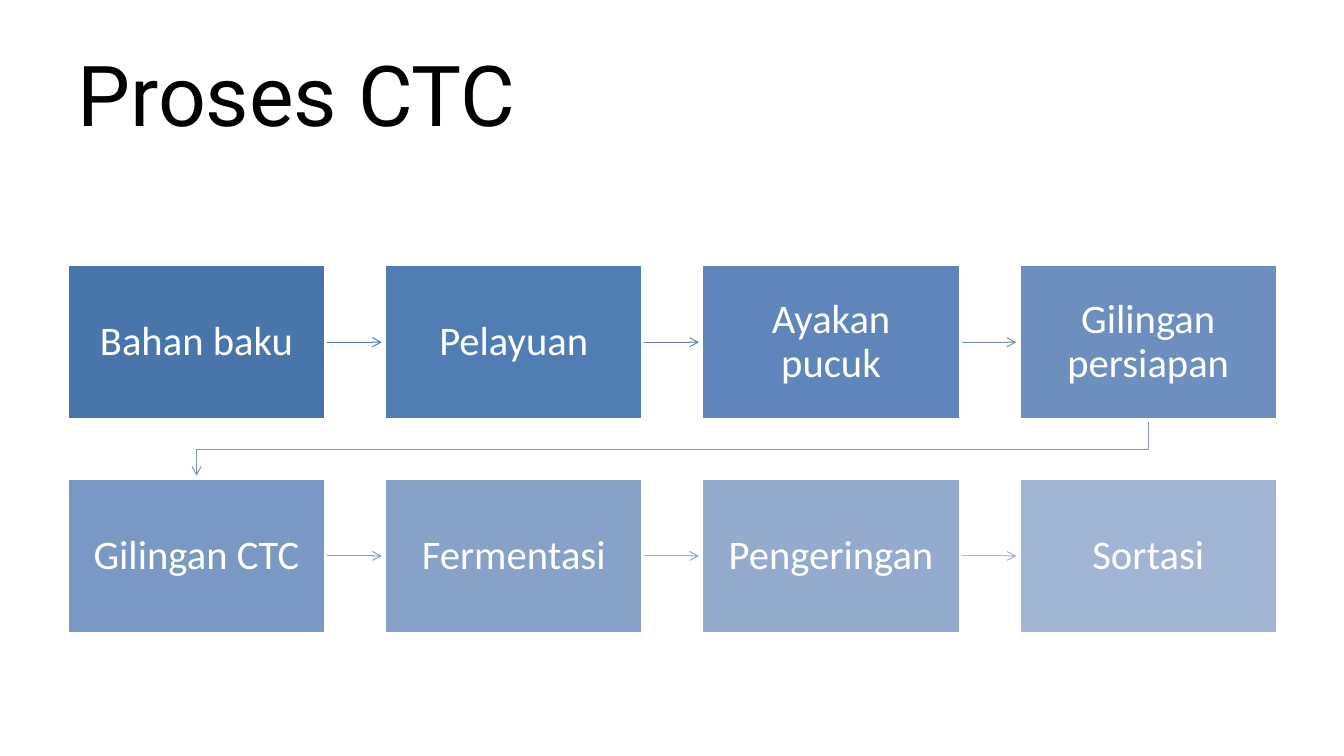
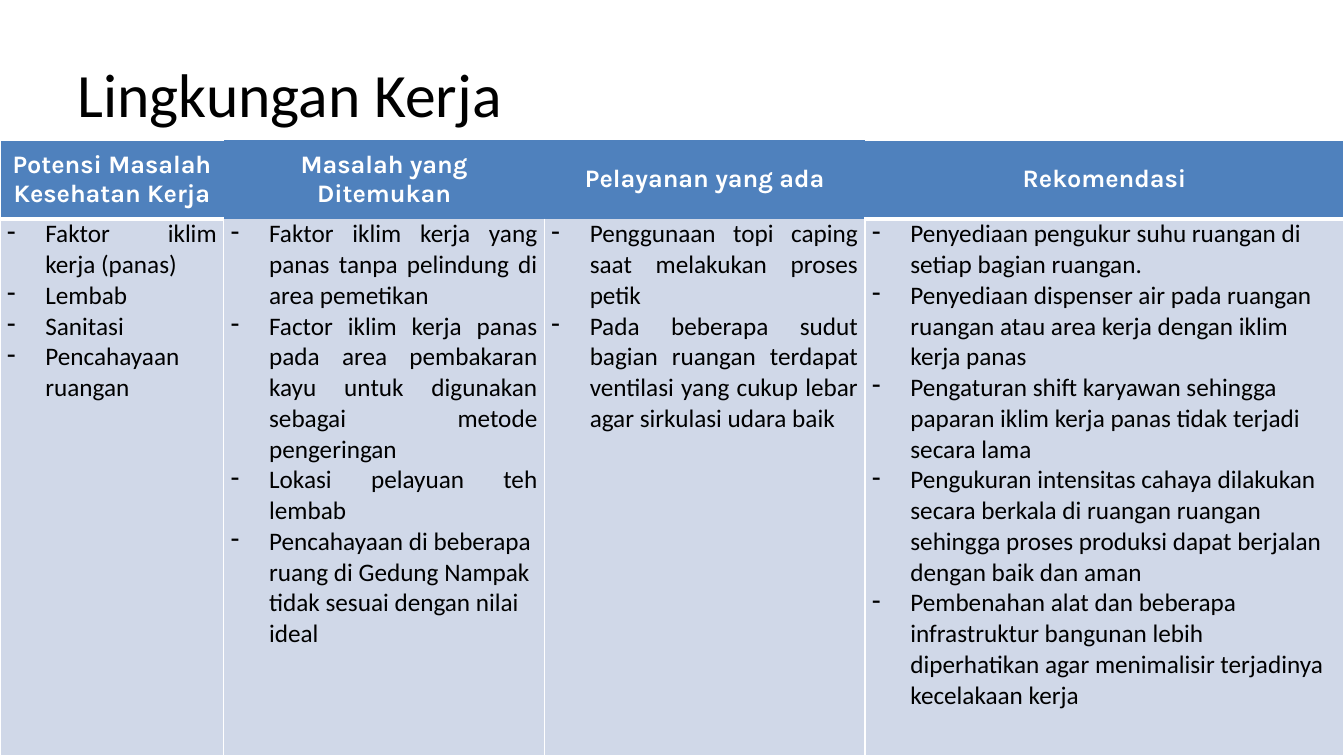
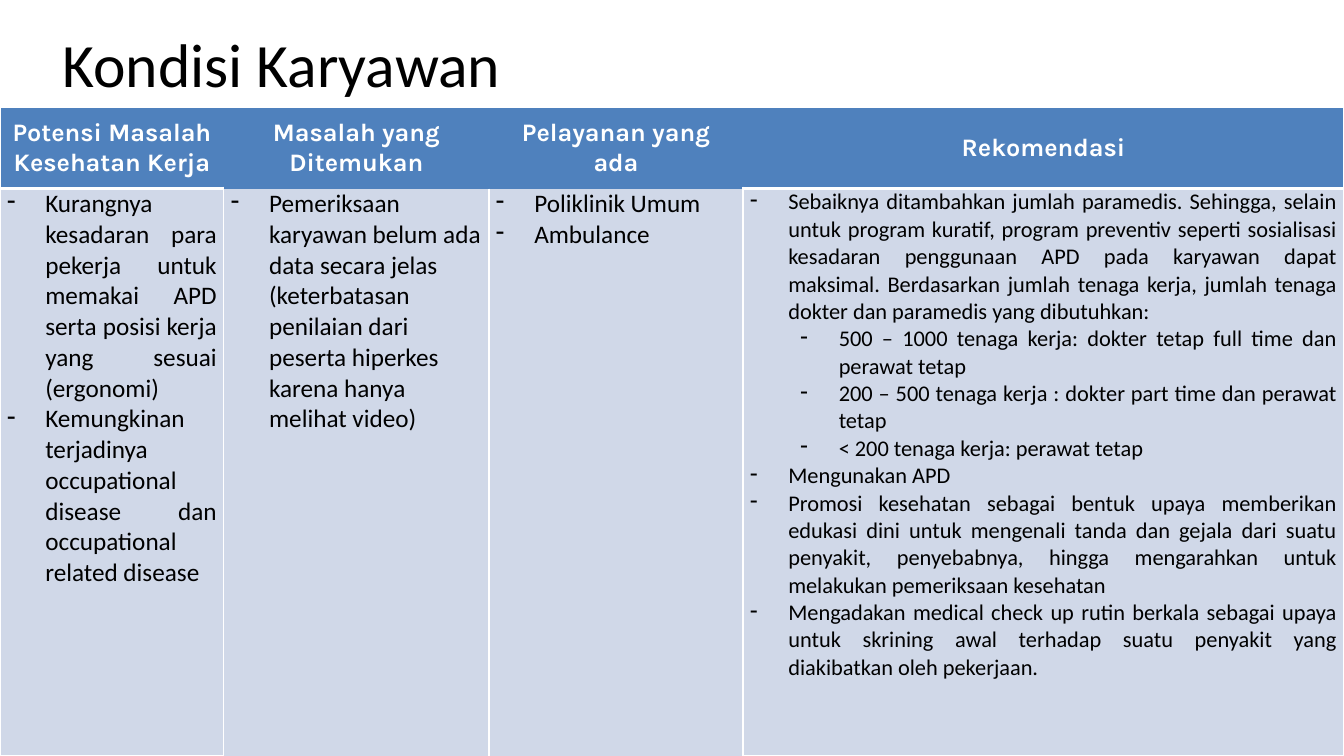
from dataclasses import dataclass
from functools import partial

from lxml import etree
from pptx import Presentation
from pptx.dml.color import RGBColor
from pptx.enum import shapes, text
from pptx.oxml.ns import qn
from pptx.util import Inches, Pt

ALIGN = text.PP_ALIGN
MIDDLE = text.MSO_ANCHOR.MIDDLE
PLAIN_TABLE = "{2D5ABB26-0587-4C30-8999-92F81FD0307C}"


def rgb(hex_code):
    return RGBColor.from_string(hex_code)


@dataclass
class Point:
    """One dashed item of a table cell."""
    text: str
    level: int = 0
    align: ALIGN = ALIGN.JUSTIFY


left = partial(Point, align=ALIGN.LEFT)
sub = partial(Point, level=1)


class Deck:
    BLACK, WHITE = "000000", "FFFFFF"
    HEADER, BODY = "4F81BD", "D0D8E8"
    FONT, HEADER_FONT, TITLE_FONT = "Calibri", "Karla", "Roboto"

    def __init__(self):
        self.file = Presentation()
        self.file.slide_width, self.file.slide_height = Inches(13.33), Inches(7.5)

    def new_slide(self):
        self.slide = self.file.slides.add_slide(self.file.slide_layouts[6])

    def style(self, paragraph, size, color, font=FONT, bold=False, align=ALIGN.LEFT):
        paragraph.alignment = align
        paragraph.font.size, paragraph.font.name = Pt(size), font
        paragraph.font.bold = bold
        paragraph.font.color.rgb = rgb(color)

    def title(self, words, x=0.67, y=0.3, size=44, font=FONT):
        frame = self.slide.shapes.add_textbox(
            Inches(x), Inches(y), Inches(12), Inches(1.25)).text_frame
        frame.word_wrap, frame.vertical_anchor = True, MIDDLE
        frame.text = words
        self.style(frame.paragraphs[0], size, self.BLACK, font)

    def step(self, words, x, y, width, height, fill):
        box = self.slide.shapes.add_shape(
            shapes.MSO_SHAPE.RECTANGLE, Inches(x), Inches(y), Inches(width), Inches(height))
        box.shadow.inherit = False
        box.fill.solid()
        box.fill.fore_color.rgb = rgb(fill)
        box.line.color.rgb, box.line.width = rgb(self.WHITE), Pt(2)
        frame = box.text_frame
        frame.word_wrap, frame.vertical_anchor = True, MIDDLE
        frame.margin_left = frame.margin_right = Inches(0.23)
        frame.margin_top = frame.margin_bottom = Inches(0.23)
        frame.text = words
        frame.paragraphs[0].line_spacing = 0.9
        self.style(frame.paragraphs[0], 29, self.WHITE, align=ALIGN.CENTER)
        return box

    def arrow_line(self, line, color):
        line.color.rgb, line.width = rgb(color), Pt(0.75)
        etree.SubElement(line._get_or_add_ln(), qn("a:tailEnd"), type="arrow")

    def arrow(self, box, end_x, color):
        """Point right from the box, starting behind its outline."""
        y = box.top + box.height // 2
        link = self.slide.shapes.add_connector(
            shapes.MSO_CONNECTOR.STRAIGHT, box.left + box.width, y, Inches(end_x), y)
        link.begin_connect(box, 3)
        self.arrow_line(link.line, color)
        etree.SubElement(link._element.spPr, qn("a:effectLst"))
        box._element.addprevious(link._element)

    def bent_arrow(self, points, color):
        start, *rest = [(Inches(x), Inches(y)) for x, y in points]
        builder = self.slide.shapes.build_freeform(*start)
        builder.add_line_segments(rest, close=False)
        path = builder.convert_to_shape()
        path.shadow.inherit = False
        path.fill.background()
        self.arrow_line(path.line, color)

    def paint_cell(self, cell, fill, borders):
        """Borders map a side (L, R, T, B) to a width in points."""
        properties = cell._tc.get_or_add_tcPr()
        for side in "LRTB":
            if side in borders:
                line = etree.SubElement(
                    properties, qn(f"a:ln{side}"), w=str(Pt(borders[side])))
                solid = etree.SubElement(line, qn("a:solidFill"))
                etree.SubElement(solid, qn("a:srgbClr"), val=self.WHITE)
        cell.fill.solid()
        cell.fill.fore_color.rgb = rgb(fill)

    def fill_points(self, cell, points, size):
        cell.margin_left = cell.margin_right = Inches(0.07)
        cell.margin_top = cell.margin_bottom = 0
        cell.text = "\n".join(point.text for point in points)
        for paragraph, point in zip(cell.text_frame.paragraphs, points):
            paragraph.level = point.level
            properties = paragraph._p.get_or_add_pPr()
            properties.set("marL", str(Inches(0.38 + 0.5 * point.level)))
            properties.set("indent", str(Inches(-0.38)))
            etree.SubElement(properties, qn("a:buChar"), char="-")
            self.style(paragraph, size, self.BLACK, align=point.align)

    def findings(self, top, widths, heights, columns, inner, sizes):
        """Draw the four-column table; inner holds the middle body borders."""
        table = self.slide.shapes.add_table(
            2, 4, 0, Inches(top), Inches(13.33), Inches(sum(heights))).table
        table._tbl.tblPr.find(qn("a:tableStyleId")).text = PLAIN_TABLE
        for row, height in zip(table.rows, heights):
            row.height = Inches(height)
        header_borders = [{"L": 1, "T": 1, "B": 3}, {}, {}, {"R": 1, "T": 1, "B": 3}]
        framed = dict.fromkeys("LRTB", 1)
        body_borders = [framed, inner, inner, framed]
        for i, (heading, points) in enumerate(zip(HEADINGS, columns)):
            table.columns[i].width = Inches(widths[i])
            head, body = table.cell(0, i), table.cell(1, i)
            head.text, head.vertical_anchor = heading, MIDDLE
            self.style(head.text_frame.paragraphs[0], 18, self.WHITE,
                       self.HEADER_FONT, True, ALIGN.CENTER)
            self.paint_cell(head, self.HEADER, header_borders[i])
            self.fill_points(body, points, sizes[i])
            self.paint_cell(body, self.BODY, body_borders[i])


HEADINGS = ["Potensi Masalah Kesehatan Kerja", "Masalah yang Ditemukan",
            "Pelayanan yang ada", "Rekomendasi"]

# Step, box colour, colour of the arrow that leaves it
STEPS = [
    ("Bahan baku", "4875AC", "4B7BB5"),
    ("Pelayuan", "517DB5", "5A84B9"),
    ("Ayakan pucuk", "5F86BA", "698DBE"),
    ("Gilingan persiapan", "6C8FBF", "7797C4"),
    ("Gilingan CTC", "7A98C4", "85A0C9"),
    ("Fermentasi", "87A1C9", "93AACE"),
    ("Pengeringan", "95ABCE", "A1B4D4"),
    ("Sortasi", "A2B4D4", None),
]

ENVIRONMENT = [
    [Point("Faktor iklim kerja (panas)"), Point("Lembab"), Point("Sanitasi"),
     Point("Pencahayaan ruangan")],
    [Point("Faktor iklim kerja yang panas tanpa pelindung di area pemetikan"),
     Point("Factor iklim kerja panas pada area pembakaran kayu untuk digunakan "
           "sebagai metode pengeringan"),
     Point("Lokasi pelayuan teh lembab"),
     left("Pencahayaan di beberapa ruang di Gedung Nampak tidak sesuai dengan nilai ideal")],
    [Point("Penggunaan topi caping saat melakukan proses petik"),
     Point("Pada beberapa sudut bagian ruangan terdapat ventilasi yang cukup lebar "
           "agar sirkulasi udara baik")],
    [left("Penyediaan pengukur suhu ruangan di setiap bagian ruangan."),
     left("Penyediaan dispenser air pada ruangan ruangan atau area kerja dengan "
          "iklim kerja panas"),
     left("Pengaturan shift karyawan sehingga paparan iklim kerja panas tidak "
          "terjadi secara lama"),
     left("Pengukuran intensitas cahaya dilakukan secara berkala di ruangan ruangan "
          "sehingga proses produksi dapat berjalan dengan baik dan aman"),
     left("Pembenahan alat dan beberapa infrastruktur bangunan lebih diperhatikan "
          "agar menimalisir terjadinya kecelakaan kerja")],
]

EMPLOYEES = [
    [Point("Kurangnya kesadaran para pekerja untuk memakai APD serta posisi kerja "
           "yang sesuai (ergonomi)"),
     Point("Kemungkinan terjadinya occupational disease dan occupational related disease")],
    [left("Pemeriksaan karyawan belum ada data secara jelas (keterbatasan penilaian "
          "dari peserta hiperkes karena hanya melihat video)")],
    [Point("Poliklinik Umum"), Point("Ambulance")],
    [Point("Sebaiknya ditambahkan jumlah paramedis. Sehingga, selain untuk program "
           "kuratif, program preventiv seperti sosialisasi kesadaran penggunaan APD "
           "pada karyawan dapat maksimal. Berdasarkan jumlah tenaga kerja, jumlah "
           "tenaga dokter dan paramedis yang dibutuhkan:"),
     sub("500 – 1000 tenaga kerja: dokter tetap full time dan perawat tetap"),
     sub("200 – 500 tenaga kerja : dokter part time dan perawat tetap"),
     sub("< 200 tenaga kerja: perawat tetap"),
     Point("Mengunakan APD"),
     Point("Promosi kesehatan sebagai bentuk upaya memberikan edukasi dini untuk "
           "mengenali tanda dan gejala dari suatu penyakit, penyebabnya, hingga "
           "mengarahkan untuk melakukan pemeriksaan kesehatan"),
     Point("Mengadakan medical check up rutin berkala sebagai upaya untuk skrining "
           "awal terhadap suatu penyakit yang diakibatkan oleh pekerjaan.")],
]


def process_slide(deck):
    deck.new_slide()
    deck.title("Proses CTC", size=60, font=deck.TITLE_FONT)
    x0, y0, width, height = 0.67, 2.63, 2.56, 1.53
    per_row, row_pitch, clearance = 4, 2.12, 0.03
    pitch = (12 - width) / (per_row - 1)
    for i, (words, fill, arrow_color) in enumerate(STEPS):
        row, column = divmod(i, per_row)
        x, y = x0 + column * pitch, y0 + row * row_pitch
        box = deck.step(words, x, y, width, height, fill)
        if column < per_row - 1:
            deck.arrow(box, x + pitch - clearance, arrow_color)
        elif arrow_color:
            start_x, end_x = x + width / 2, x0 + width / 2
            bottom, next_top = y + height + clearance, y + row_pitch
            bend = (y + height + next_top) / 2
            deck.bent_arrow([(start_x, bottom), (start_x, bend), (end_x, bend),
                             (end_x, next_top - clearance)], arrow_color)


def main():
    deck = Deck()
    process_slide(deck)

    deck.new_slide()
    deck.title("Lingkungan Kerja")
    deck.findings(1.39, [2.22, 3.18, 3.18, 4.75], [0.78, 5.33], ENVIRONMENT,
                  {"L": 1, "R": 1, "B": 1}, [18] * 4)

    deck.new_slide()
    deck.title("Kondisi Karyawan", x=0.52, y=0)
    deck.findings(1.07, [2.22, 2.63, 2.52, 5.96], [0.8, 5.63], EMPLOYEES,
                  {"L": 1, "R": 1}, [18, 18, 18, 16])

    deck.file.save("out.pptx")


if __name__ == "__main__":
    main()
